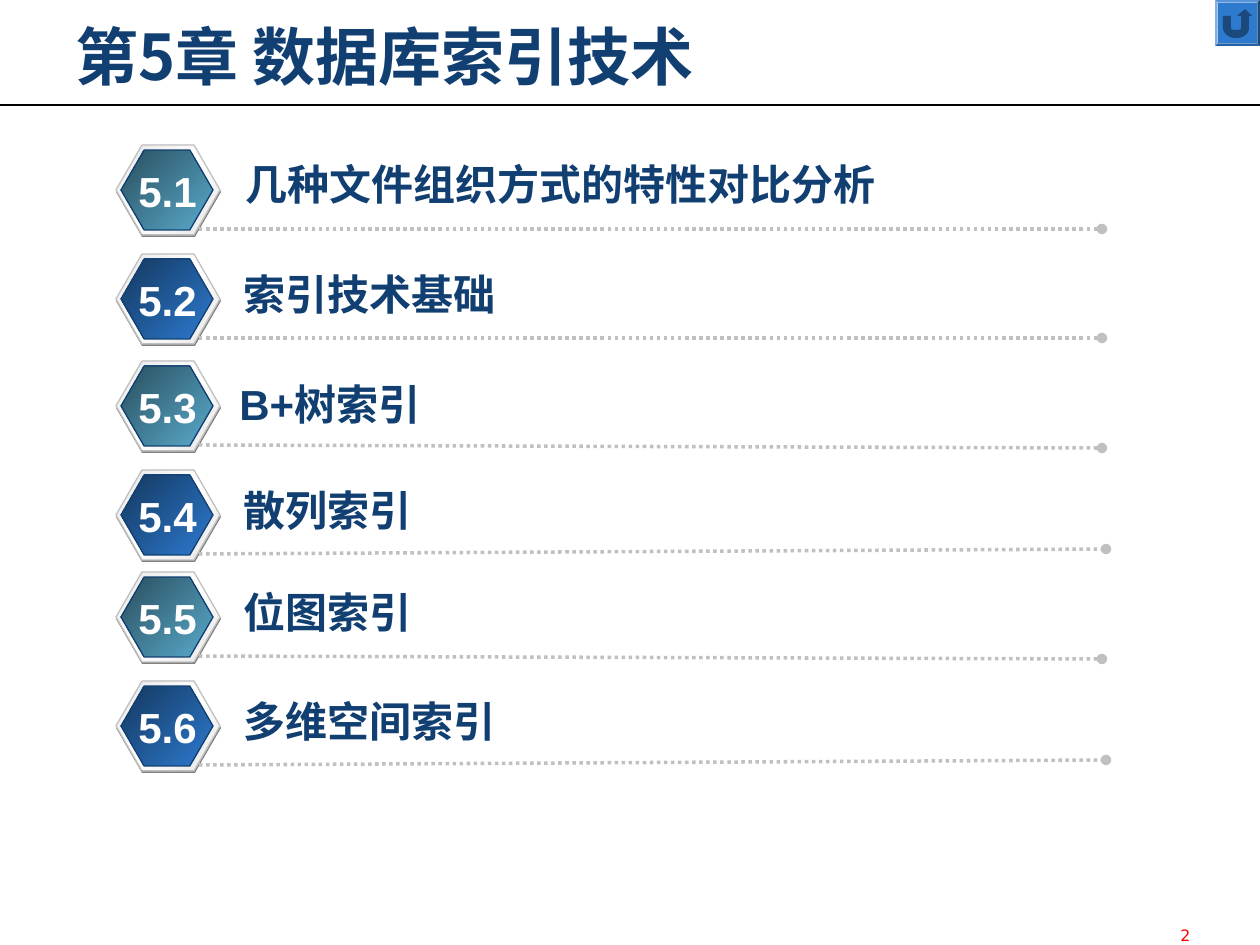
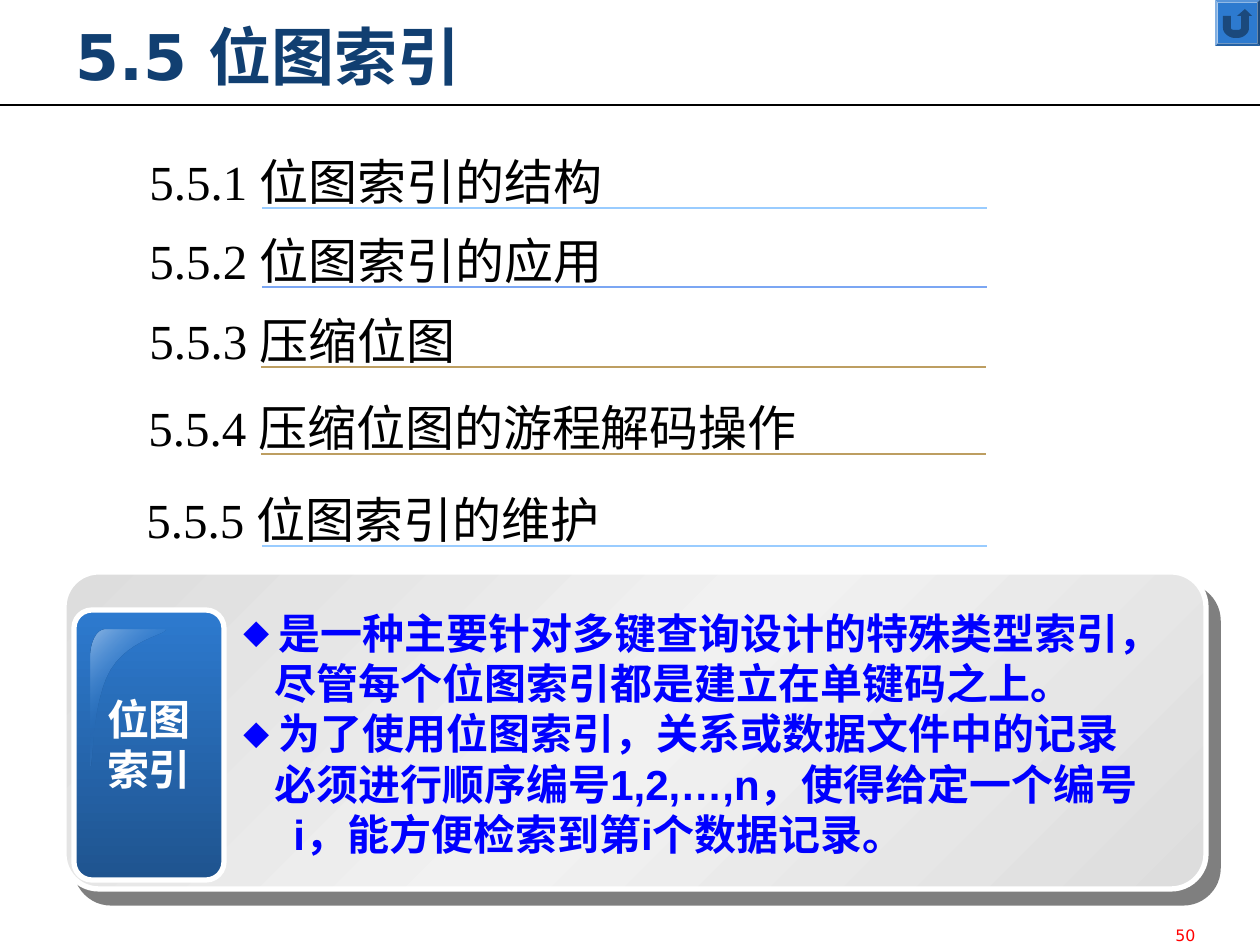
from copy import deepcopy

from lxml import etree
from pptx import Presentation
from pptx import util as u
from pptx.dml.color import RGBColor
from pptx.enum import dml, shapes, text
from pptx.oxml import parse_xml
from pptx.oxml.ns import nsdecls, qn

# Colours and fonts
NAVY = RGBColor(0x11, 0x3F, 0x71)
BLUE = RGBColor(0x2D, 0x7A, 0xCF)
BLUE_DARK = RGBColor(0x14, 0x38, 0x5F)
BLUE_DEEP = RGBColor(0x1F, 0x54, 0x8F)
BLUE_ICON = RGBColor(0x1B, 0x49, 0x7C)
BLUE_PALE = RGBColor(0x8B, 0xB5, 0xE3)
TEAL = RGBColor(0x5A, 0xAB, 0xCC)
TEAL_DARK = RGBColor(0x29, 0x4E, 0x5E)
SKY = RGBColor(0x99, 0xCC, 0xFF)
PERIWINKLE = RGBColor(0x7B, 0xA6, 0xF3)
GOLD = RGBColor(0xBD, 0x9E, 0x61)
INK_BLUE = RGBColor(0x00, 0x00, 0xFF)
RED = RGBColor(0xFF, 0x00, 0x00)
BLACK = RGBColor(0x00, 0x00, 0x00)
WHITE = RGBColor(0xFF, 0xFF, 0xFF)
GREY = RGBColor(0x80, 0x80, 0x80)
SILVER = RGBColor(0xC0, 0xC0, 0xC0)
RIM = RGBColor(0xE6, 0xE6, 0xE6)
CARD = RGBColor(0xDD, 0xDD, 0xDD)
CARD_LIGHT = RGBColor(0xF1, 0xF1, 0xF1)
CJK, SANS, SERIF, UI = "Noto Sans CJK SC", "Arial", "Times New Roman", "DejaVu Sans"

# Contents slide: badge top, heading, heading left, heading offset, line end x, line rise
CHAPTER = ("第5章 数据库索引技术", CJK, "2")
SECTIONS = [
    (145, "几种文件组织方式的特性对比分析", 233, 7, 1102, 0),
    (254, "索引技术基础", 231, 8, 1102, 0),
    (361, "B+树索引", 227, 11, 1102, 3),
    (470, "散列索引", 231, 8, 1106, -5),
    (572, "位图索引", 231, 8, 1102, 3),
    (681, "多维空间索引", 231, 8, 1106, -5),
]
BADGE_COLOURS = [(TEAL, TEAL_DARK), (BLUE, BLUE_DARK)]

# Section slide: text left, text top, line left, heading, line colour
SECTION = ("5.5 位图索引", UI, "50")
TOPICS = [
    (137, 145, 262, "5.5.1 位图索引的结构", SKY),
    (137, 224, 262, "5.5.2 位图索引的应用", PERIWINKLE),
    (137, 304, 261, "5.5.3 压缩位图", GOLD),
    (136, 391, 261, "5.5.4 压缩位图的游程解码操作", GOLD),
    (134, 483, 262, "5.5.5 位图索引的维护", SKY),
]
PANEL_LABEL = ["位图", "索引"]
# Left margin, bulleted, text
POINTS = [
    (42, True, "是一种主要针对多键查询设计的特殊类型索引，"),
    (38, False, "尽管每个位图索引都是建立在单键码之上。"),
    (42, True, "为了使用位图索引，关系或数据文件中的记录"),
    (38, False, "必须进行顺序编号1,2,…,n，使得给定一个编号"),
    (57, False, "i，能方便检索到第i个数据记录。"),
]

# Outlines: two numbers are a corner, six are a Bezier curve
RETURN_ARROW = [
    (1223, 16), (1231, 16), (1231, 28), (1231, 29, 1232, 30, 1235, 30), (1237, 30),
    (1240, 30, 1241, 29, 1241, 28), (1241, 16), (1237, 16), (1245, 9), (1252, 16),
    (1249, 16), (1249, 28), (1249, 33, 1244, 38, 1237, 38), (1235, 38),
    (1229, 38, 1223, 33, 1223, 28),
]
GLOSS = [
    (106, 630), (97, 630, 91, 643, 91, 658), (91, 767),
    (94, 769, 92, 702, 111, 670), (130, 639, 165, 636, 165, 630),
]


def px(n):
    return u.Emu(round(n * 914400 / 126))


def paint(sp, stops, angle=225, line=None, width=0.75):
    """Fill with one colour or evenly spaced gradient stops, and set the outline."""
    sp.shadow.inherit = False
    if len(stops) == 1:
        sp.fill.solid()
        sp.fill.fore_color.rgb = stops[0]
    else:
        sp.fill.gradient()
        sp.fill.gradient_angle = 360 - angle
        gs_list = sp._element.spPr.find(qn("a:gradFill")).find(qn("a:gsLst"))
        for _ in stops[2:]:
            gs_list.append(deepcopy(gs_list[0]))
        for i, colour in enumerate(stops):
            stop = sp.fill.gradient_stops[i]
            stop.color.rgb = colour
            stop.position = i / (len(stops) - 1)
    if line is None:
        sp.line.fill.background()
    else:
        sp.line.color.rgb = line
        sp.line.width = u.Pt(width)
    return sp


def add_preset(parent, kind, x, y, w, h, adj):
    sp = parent.shapes.add_shape(kind, px(x), px(y), px(w), px(h))
    sp.adjustments[0] = adj
    return sp


def add_outline(parent, outline):
    points = []
    for seg in outline:
        if len(seg) == 2:
            points.append(seg)
            continue
        curve = [points[-1], seg[:2], seg[2:4], seg[4:]]
        for t in (i / 12 for i in range(1, 13)):
            weights = ((1 - t) ** 3, 3 * t * (1 - t) ** 2, 3 * t * t * (1 - t), t ** 3)
            points.append(tuple(sum(w * c[k] for w, c in zip(weights, curve)) for k in (0, 1)))
    points = [(px(x), px(y)) for x, y in points]
    builder = parent.shapes.build_freeform(*points[0], scale=1.0)
    builder.add_line_segments(points[1:], close=True)
    return builder.convert_to_shape()


def add_line(slide, x1, y1, x2, y2, colour, width=0.75, dotted=False):
    ln = slide.shapes.add_connector(shapes.MSO_CONNECTOR.STRAIGHT, px(x1), px(y1), px(x2), px(y2))
    ln.line.color.rgb = colour
    ln.line.width = u.Pt(width)
    if dotted:
        ln.line.dash_style = dml.MSO_LINE.ROUND_DOT
        tail = etree.SubElement(ln.line._get_or_add_ln(), qn("a:tailEnd"))
        tail.set("type", "oval")
    etree.SubElement(ln._element.spPr, qn("a:effectLst"))


def style(p, size, font, colour, bold, align=None):
    p.alignment = align
    p.font.size = u.Pt(size)
    p.font.bold = bold
    p.font.color.rgb = colour
    p.font.name = font
    latin = p.font._element.find(qn("a:latin"))
    latin.addnext(parse_xml(f'<a:ea {nsdecls("a")} typeface="{CJK}"/>'))


def add_text(parent, x, y, w, h, lines, size, font, colour, bold=True, align=None, wrap=False):
    tb = parent.shapes.add_textbox(px(x), px(y), px(w), px(h))
    tf = tb.text_frame
    tf.word_wrap = wrap
    for i, line in enumerate(lines):
        p = tf.add_paragraph() if i else tf.paragraphs[0]
        p.text = line
        style(p, size, font, colour, bold, align)
    return tf


def outer_shadow(colour, alpha, distance):
    return parse_xml(
        f'<a:effectLst {nsdecls("a")}><a:outerShdw dist="{u.Pt(distance)}" dir="2940000" algn="ctr" '
        f'rotWithShape="0"><a:srgbClr val="{colour}"><a:alpha val="{alpha * 1000}"/></a:srgbClr>'
        '</a:outerShdw></a:effectLst>')


def add_base(prs, title, font, number):
    """Slide with the title, rule, return button and page number."""
    slide = prs.slides.add_slide(prs.slide_layouts[6])
    add_line(slide, 0, 105, 1260, 105, BLACK)
    paint(add_preset(slide, shapes.MSO_SHAPE.BEVEL, 1215, 0, 45, 46, 0.06), [BLUE])
    paint(add_outline(slide, RETURN_ARROW), [BLUE_ICON])
    tf = add_text(slide, 63, 16, 1130, 78, [title], 36, font, NAVY, wrap=True)
    tf.vertical_anchor = text.MSO_ANCHOR.MIDDLE
    add_text(slide, 1116, 920, 139, 25, [number], 9, UI, RED, False,
             text.PP_ALIGN.CENTER, True)
    return slide


def add_badge(slide, top, colours):
    group = slide.shapes.add_group_shape()
    hexagon = shapes.MSO_SHAPE.HEXAGON
    for x, y, w, h, stops, line in (
        (116, top + 2, 105, 90, [GREY], None),
        (116, top, 104, 90, [RIM, WHITE, RIM], SILVER),
        (121, top + 5, 92, 80, colours, NAVY),
    ):
        paint(add_preset(group, hexagon, x, y, w, h, 0.289), stops, line=line)


def build_contents(prs):
    slide = add_base(prs, *CHAPTER)
    for i, (top, heading, left, offset, end, rise) in enumerate(SECTIONS):
        add_badge(slide, top, BADGE_COLOURS[i % 2])
        add_line(slide, 199, top + 84, end, top + 84 + rise, SILVER, 2, True)
        add_text(slide, left, top + offset, 660, 63, [heading], 24, SANS, NAVY)
        add_text(slide, 107, top + 14, 121, 63, [f"5.{i + 1}"], 24, SANS, WHITE,
                 align=text.PP_ALIGN.CENTER)


def add_definition(slide):
    """Grey card with a blue label panel and bulleted points."""
    group = slide.shapes.add_group_shape()
    rounded = shapes.MSO_SHAPE.ROUNDED_RECTANGLE
    card = add_preset(group, rounded, 64, 572, 1142, 317, 0.11)
    paint(card, [CARD, CARD_LIGHT, CARD], line=WHITE, width=3)
    props = card._element.spPr
    props.replace(props.find(qn("a:effectLst")), outer_shadow(BLACK, 50, 10.6))
    panel = add_preset(group, rounded, 74, 610, 150, 270, 0.12)
    paint(panel, [BLUE, BLUE_DEEP], 90, WHITE, 3)

    # Gloss fades out at the middle stop
    gloss = paint(add_outline(group, GLOSS), [BLUE_PALE, BLUE, BLUE_PALE])
    middle = gloss._element.spPr.findall(".//" + qn("a:srgbClr"))[1]
    etree.SubElement(middle, qn("a:alpha")).set("val", "0")

    label = add_text(group, 79, 687, 140, 113, PANEL_LABEL, 24, SANS, WHITE,
                     align=text.PP_ALIGN.CENTER)
    for p in label.paragraphs:
        p.runs[0].font._element.append(outer_shadow(BLACK, 50, 2))

    tf = group.shapes.add_textbox(px(224), px(601), px(957), px(265)).text_frame
    tf.word_wrap = True
    for i, (margin, bulleted, line) in enumerate(POINTS):
        p = tf.add_paragraph() if i else tf.paragraphs[0]
        p.text = line
        props = p._p.get_or_add_pPr()
        props.set("marL", str(px(margin)))
        if bulleted:
            props.set("indent", str(-px(margin - 7)))
            for bullet in (f'<a:buClr {nsdecls("a")}><a:srgbClr val="{INK_BLUE}"/></a:buClr>',
                           f'<a:buSzPct {nsdecls("a")} val="80000"/>',
                           f'<a:buFont {nsdecls("a")} typeface="{UI}"/>',
                           f'<a:buChar {nsdecls("a")} char="◆"/>'):
                props.append(parse_xml(bullet))
        style(p, 24, SANS, INK_BLUE, True)


def build_section(prs):
    slide = add_base(prs, *SECTION)
    for left, top, line_left, heading, colour in TOPICS:
        add_text(slide, left, top, 866, 72, [heading], 28, SERIF, BLACK, False)
        add_line(slide, line_left, top + 63, line_left + 725, top + 63, colour)
    add_definition(slide)


def main():
    prs = Presentation()
    prs.slide_width, prs.slide_height = px(1260), px(945)
    build_contents(prs)
    build_section(prs)
    prs.save("out.pptx")


if __name__ == "__main__":
    main()
